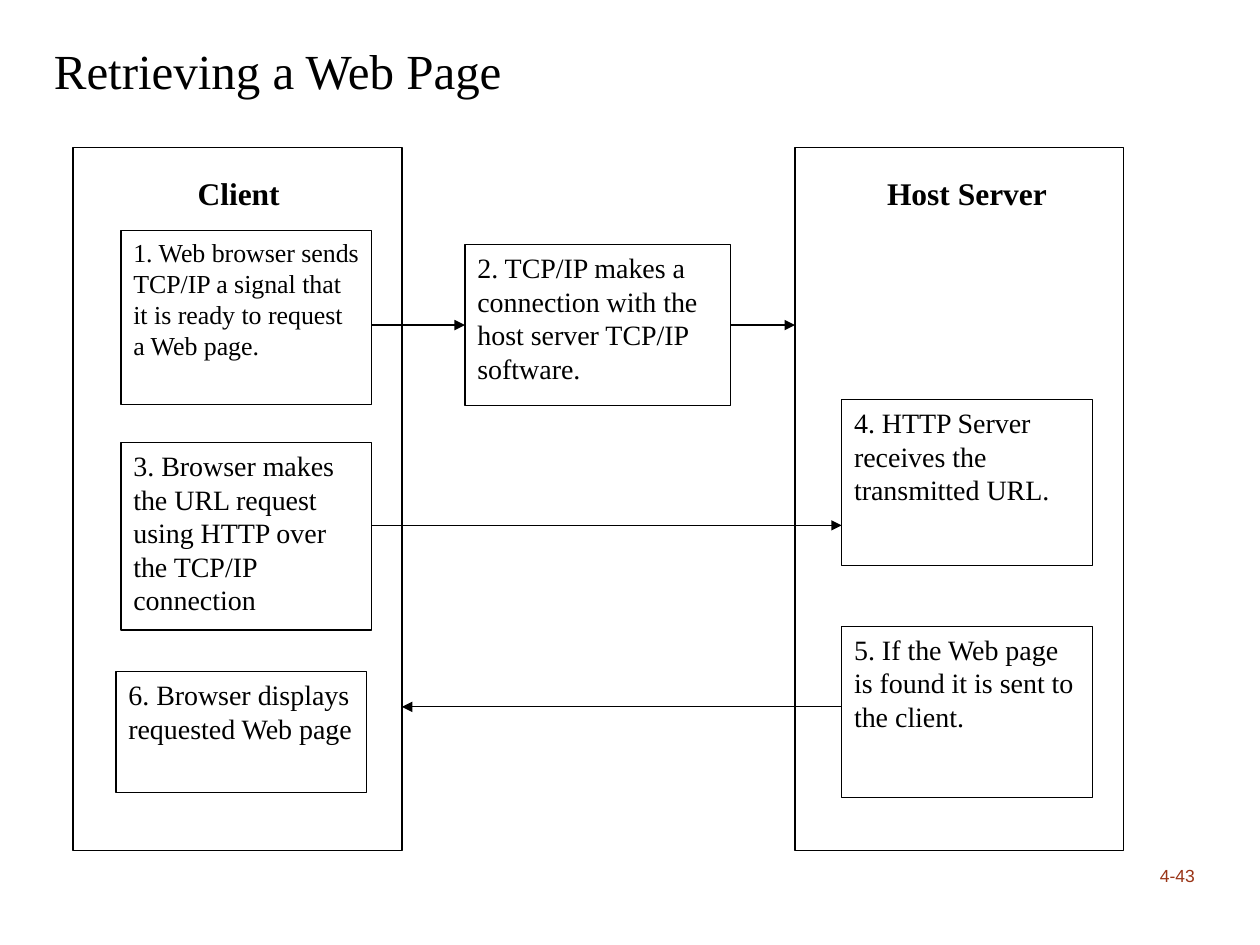
from lxml import etree
from pptx import Presentation
from pptx.dml.color import RGBColor
from pptx.enum.shapes import MSO_CONNECTOR, MSO_SHAPE
from pptx.enum.text import MSO_ANCHOR, PP_ALIGN
from pptx.oxml.ns import qn
from pptx.util import Inches, Pt

RECTANGLE, STRAIGHT = MSO_SHAPE.RECTANGLE, MSO_CONNECTOR.STRAIGHT
TOP, MIDDLE, BOTTOM = MSO_ANCHOR.TOP, MSO_ANCHOR.MIDDLE, MSO_ANCHOR.BOTTOM
LEFT, CENTER, RIGHT = PP_ALIGN.LEFT, PP_ALIGN.CENTER, PP_ALIGN.RIGHT
BLACK = RGBColor(0x00, 0x00, 0x00)
WHITE = RGBColor(0xFF, 0xFF, 0xFF)
RUST = RGBColor(0x9A, 0x34, 0x16)
SERIF, SANS = "Times New Roman", "Arial"
LEFT_SITE, RIGHT_SITE = 1, 3

TITLE = "Retrieving a Web Page"
PAGE_NUMBER = "4-43"

CLIENT_LEFT, HOST_LEFT = 0.58, 6.31
PANEL_TOP, PANEL_WIDTH, PANEL_HEIGHT = 1.17, 2.61, 5.58
CLIENT_RIGHT = CLIENT_LEFT + PANEL_WIDTH
CLIENT_STEP_LEFT, HOST_STEP_LEFT, STEP_WIDTH = 0.96, 6.68, 1.99
CLIENT_STEP_RIGHT = CLIENT_STEP_LEFT + STEP_WIDTH
HEADING_TOP, HEADING_HEIGHT = 1.33, 0.48

# heading, left, width
HEADINGS = [
    ("Client", CLIENT_STEP_LEFT, 1.87),
    ("Host Server", HOST_STEP_LEFT, STEP_WIDTH),
]

# text, left, top, width, height, size
STEPS = [
    ("1. Web browser sends TCP/IP a signal that it is ready to request a Web page.",
     CLIENT_STEP_LEFT, 1.83, STEP_WIDTH, 1.38, 14.8),
    ("2. TCP/IP makes a connection with the host server TCP/IP software.",
     3.69, 1.94, 2.11, 1.28, 16),
    ("3. Browser makes the URL request using HTTP over the TCP/IP connection",
     CLIENT_STEP_LEFT, 3.51, STEP_WIDTH, 1.49, 16),
    ("4. HTTP Server receives the transmitted URL.",
     HOST_STEP_LEFT, 3.17, STEP_WIDTH, 1.32, 16),
    ("5. If the Web page is found it is sent to the client.",
     HOST_STEP_LEFT, 4.97, STEP_WIDTH, 1.36, 16),
    ("6. Browser displays requested Web page",
     0.92, 5.33, STEP_WIDTH, 0.96, 16),
]

TCP_ROW, REQUEST_ROW, REPLY_ROW = 2.58, 4.17, 5.61


def write(shape, text, size, font=SERIF, color=BLACK, bold=False,
          align=LEFT, anchor=TOP):
    frame = shape.text_frame
    frame.word_wrap = True
    frame.vertical_anchor = anchor
    paragraph = frame.paragraphs[0]
    paragraph.text = text
    paragraph.alignment = align
    paragraph.font.name = font
    paragraph.font.size = Pt(size)
    paragraph.font.bold = bold
    paragraph.font.color.rgb = color
    return paragraph


def add_box(slide, left, top, width, height, outlined=True):
    box = slide.shapes.add_shape(
        RECTANGLE, Inches(left), Inches(top), Inches(width), Inches(height))
    box.shadow.inherit = False
    box.fill.solid()
    box.fill.fore_color.rgb = WHITE
    if outlined:
        box.line.color.rgb = BLACK
        box.line.width = Pt(0.75)
    else:
        box.line.fill.background()
    return box


def add_arrow(slide, start, end, y):
    arrow = slide.shapes.add_connector(
        STRAIGHT, Inches(start), Inches(y), Inches(end), Inches(y))
    arrow.line.color.rgb = BLACK
    arrow.line.width = Pt(0.75)
    etree.SubElement(arrow.line._get_or_add_ln(), qn("a:tailEnd"), type="triangle")
    etree.SubElement(arrow._element.spPr, qn("a:effectLst"))
    return arrow


def main():
    prs = Presentation()
    prs.slide_width, prs.slide_height = Inches(10), Inches(7.5)
    slide = prs.slides.add_slide(prs.slide_layouts[6])

    number = slide.shapes.add_textbox(
        Inches(8.83), Inches(6.58), Inches(0.75), Inches(0.5))
    write(number, PAGE_NUMBER, 10, SANS, RUST, align=RIGHT, anchor=BOTTOM)
    title = slide.shapes.add_textbox(
        Inches(0.33), Inches(0.17), Inches(4.83), Inches(0.83))
    write(title, TITLE, 28, anchor=MIDDLE).line_spacing = 0.9

    for left in (HOST_LEFT, CLIENT_LEFT):
        add_box(slide, left, PANEL_TOP, PANEL_WIDTH, PANEL_HEIGHT)

    for heading, left, width in HEADINGS:
        box = add_box(slide, left, HEADING_TOP, width, HEADING_HEIGHT, outlined=False)
        write(box, heading, 18, bold=True, align=CENTER)

    step_boxes = []
    for text, left, top, width, height, size in STEPS:
        box = add_box(slide, left, top, width, height)
        write(box, text, size)
        step_boxes.append(box)

    tcp_box = step_boxes[1]
    to_tcp = add_arrow(slide, CLIENT_STEP_RIGHT, 3.69, TCP_ROW)
    to_tcp.end_connect(tcp_box, LEFT_SITE)
    to_host = add_arrow(slide, 5.8, HOST_LEFT, TCP_ROW)
    to_host.begin_connect(tcp_box, RIGHT_SITE)
    add_arrow(slide, CLIENT_STEP_RIGHT, HOST_STEP_LEFT, REQUEST_ROW)
    add_arrow(slide, HOST_STEP_LEFT, CLIENT_RIGHT, REPLY_ROW)

    prs.save("out.pptx")


if __name__ == "__main__":
    main()
